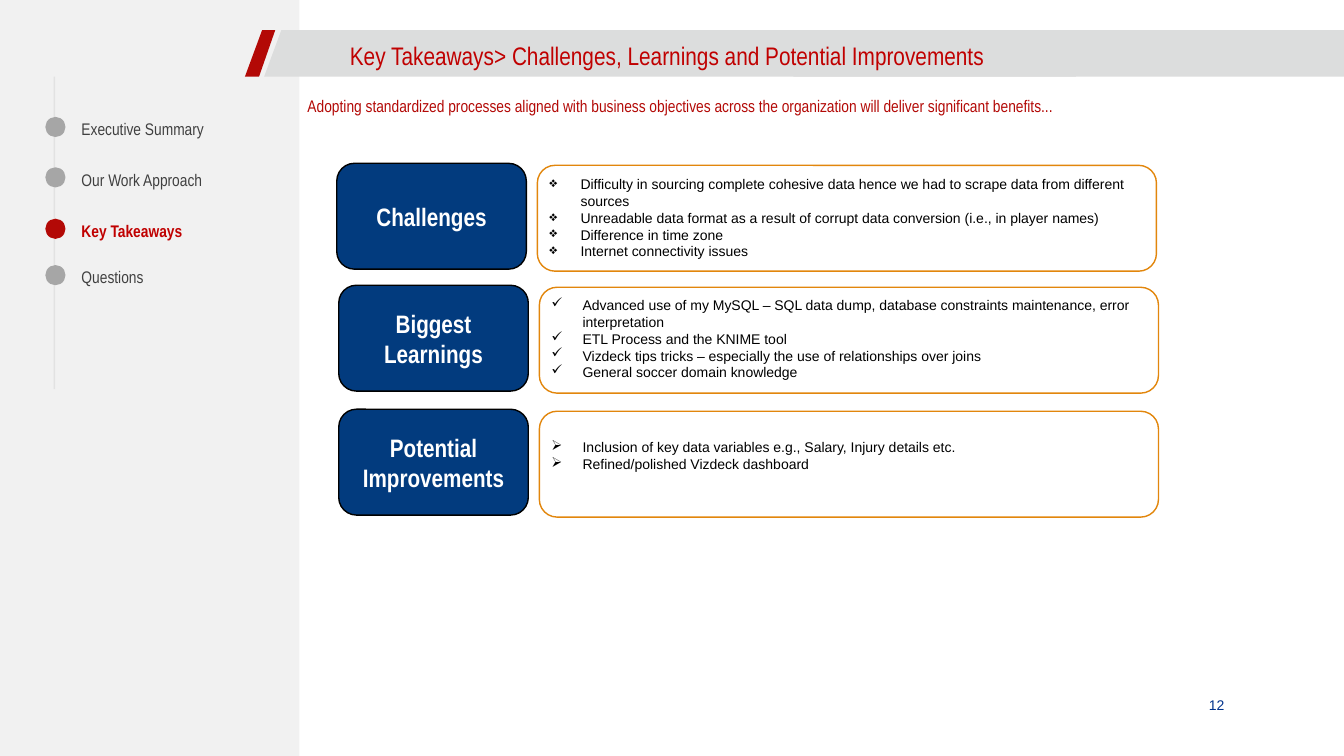
from lxml import etree
from pptx import Presentation
from pptx.dml.color import RGBColor
from pptx.enum.shapes import MSO_CONNECTOR, MSO_SHAPE
from pptx.enum.text import MSO_ANCHOR, MSO_AUTO_SIZE, PP_ALIGN
from pptx.oxml.ns import qn
from pptx.util import Pt

PX = 9144  # 100 px to the inch
RECTANGLE, ROUNDED, OVAL = MSO_SHAPE.RECTANGLE, MSO_SHAPE.ROUNDED_RECTANGLE, MSO_SHAPE.OVAL
TOP, MIDDLE = MSO_ANCHOR.TOP, MSO_ANCHOR.MIDDLE
LEFT, CENTER = PP_ALIGN.LEFT, PP_ALIGN.CENTER
STRAIGHT = MSO_CONNECTOR.STRAIGHT
NO_AUTOFIT = MSO_AUTO_SIZE.NONE

COLORS = {
    "panel": "F1F1F1", "band": "DCDDDD", "accent": "B30906", "red": "C00000",
    "gray": "A6A6A6", "label": "404040", "navy": "023B7E", "orange": "E2860C",
    "black": "000000", "white": "FFFFFF", "page": "00338D",
}
TITLE = "Key Takeaways> Challenges, Learnings and Potential Improvements"
SUBTITLE = ("Adopting standardized processes aligned with business objectives "
            "across the organization will deliver significant benefits...")
ACTIVE = "Key Takeaways"
SECTIONS = [("Executive Summary", 113), ("Our Work Approach", 163),
            (ACTIVE, 214), ("Questions", 260)]
# heading, left, top, text offset, text height, bullet, points
CARDS = [
    ("Challenges", 334, 162, 7, 94, "❖", [
        "Difficulty in sourcing complete cohesive data hence we had to scrape data "
        "from different sources",
        "Unreadable data format as a result of corrupt data conversion (i.e., in player names)",
        "Difference in time zone",
        "Internet connectivity issues"]),
    ("Biggest Learnings", 336, 283, 6, 94, "✓", [
        "Advanced use of my MySQL – SQL data dump, database constraints maintenance, "
        "error interpretation",
        "ETL Process and the KNIME tool",
        "Vizdeck tips tricks – especially the use of relationships over joins",
        "General soccer domain knowledge"]),
    ("Potential Improvements", 336, 406, 24, 44, "➢", [
        "Inclusion of key data variables e.g., Salary, Injury details etc.",
        "Refined/polished Vizdeck dashboard"]),
]


def rgb(name):
    return RGBColor.from_string(COLORS[name])


def px(*lengths):
    return [length * PX for length in lengths]


def paint(shape, fill=None, line=None):
    shape.shadow.inherit = False
    if fill:
        shape.fill.solid()
        shape.fill.fore_color.rgb = rgb(fill)
    else:
        shape.fill.background()
    if line:
        shape.line.color.rgb = rgb(line)
        shape.line.width = Pt(1)
    else:
        shape.line.fill.background()
    return shape


def add_shape(slide, kind, box, fill=None, line=None):
    return paint(slide.shapes.add_shape(kind, *px(*box)), fill, line)


def add_outline(slide, points, fill):
    start, *others = [px(*point) for point in points]
    builder = slide.shapes.build_freeform(*start)
    builder.add_line_segments(others, close=True)
    return paint(builder.convert_to_shape(), fill)


def add_bullet(paragraph, bullet):
    properties = paragraph._p.get_or_add_pPr()
    properties.set("marL", str(31 * PX))
    properties.set("indent", str(-31 * PX))
    etree.SubElement(properties, qn("a:buChar")).set("char", bullet)


def write(shape, lines, color, size, name="Arial Narrow", bold=False,
          align=LEFT, anchor=TOP, insets=(10, 5, 10, 5), bullet=None):
    frame = shape.text_frame
    left, top, right, bottom = px(*insets)
    frame_format = {
        "word_wrap": True, "auto_size": NO_AUTOFIT, "vertical_anchor": anchor,
        "margin_left": left, "margin_top": top,
        "margin_right": right, "margin_bottom": bottom,
    }
    for attribute, value in frame_format.items():
        setattr(frame, attribute, value)
    for index, line in enumerate(lines):
        paragraph = frame.add_paragraph() if index else frame.paragraphs[0]
        paragraph.alignment = align
        if bullet:
            add_bullet(paragraph, bullet)
        run = paragraph.add_run()
        run.text = line
        for attribute, value in {"name": name, "size": Pt(size), "bold": bold}.items():
            setattr(run.font, attribute, value)
        run.font.color.rgb = rgb(color)


def add_text(slide, box, lines, color, size, **text_format):
    write(slide.shapes.add_textbox(*px(*box)), lines, color, size, **text_format)


def draw_header(slide, left, top, right, height):
    bottom = top + height
    # Title band and red slash
    add_shape(slide, RECTANGLE, (787, top, right - 787, height), "band")
    add_outline(slide, [(left + 19, bottom), (left + 36, top),
                        (1067, top), (1067, bottom)], "band")
    add_outline(slide, [(left + 17, top), (left + 30, top),
                        (left + 14, bottom), (left, bottom)], "accent")
    # Title, brought in front of the band
    title = slide.shapes.title
    title.element.getparent().append(title.element)
    title.left, title.top, title.width, title.height = px(left + 104, top + 9, 819, 32)
    write(title, [TITLE], "red", 18.1, anchor=MIDDLE, insets=(0, 5, 10, 5))
    # Subtitle
    add_text(slide, (left + 62, top + 61, 1013, 58), [SUBTITLE], "accent", 12,
             insets=(0, 4, 8, 4))


def draw_navigation(slide, left, top, height):
    # Timeline
    line = slide.shapes.add_connector(STRAIGHT, *px(left + 9, top, left + 9, top + height))
    line.line.color.rgb = rgb("gray")
    line.line.width = Pt(1)
    color = line.element.find(".//" + qn("a:srgbClr"))
    etree.SubElement(color, qn("a:alpha")).set("val", "20000")
    etree.SubElement(line.element.spPr, qn("a:effectLst"))
    # Section dots and labels
    for label, label_top in SECTIONS:
        active = label == ACTIVE
        add_shape(slide, OVAL, (left, label_top + 3, 20, 20), "accent" if active else "gray")
        add_text(slide, (left + 26, label_top, 225, 30), [label],
                 "red" if active else "label", 12, bold=active)


def draw_card(slide, heading, left, top, text_offset, text_height, bullet, points):
    add_shape(slide, ROUNDED, (left + 199, top + 2, 614, 105), line="orange")
    tile = add_shape(slide, ROUNDED, (left, top, 188, 105), "navy", "black")
    write(tile, [heading], "white", 18, bold=True, align=CENTER, anchor=MIDDLE)
    add_text(slide, (left + 201, top + text_offset, 598, text_height), points,
             "black", 10, name="Arial", anchor=MIDDLE, bullet=bullet)


def main():
    presentation = Presentation()
    presentation.slide_width, presentation.slide_height = px(1333, 750)
    slide = presentation.slides.add_slide(presentation.slide_layouts[5])
    # Side panel
    add_shape(slide, RECTANGLE, (0, 0, 297, 750), "panel")
    draw_header(slide, 243, 30, 1333, 46)
    draw_navigation(slide, 45, 76, 310)
    for card in CARDS:
        draw_card(slide, *card)
    # Page number
    add_text(slide, (1189, 691, 38, 17), ["12"], "page", 10, name="Arial",
             insets=(10, 0, 0, 0))
    presentation.save("out.pptx")


if __name__ == "__main__":
    main()
